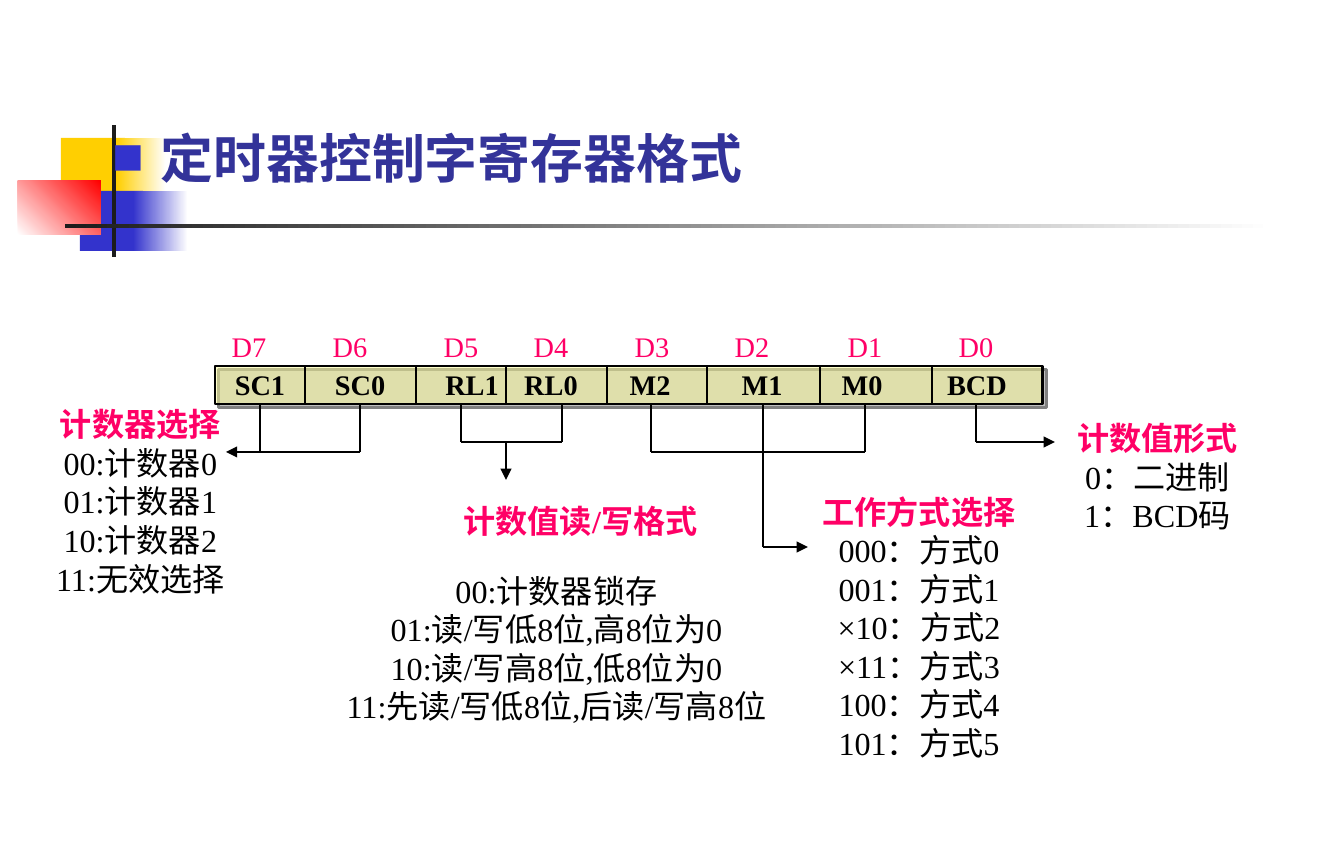
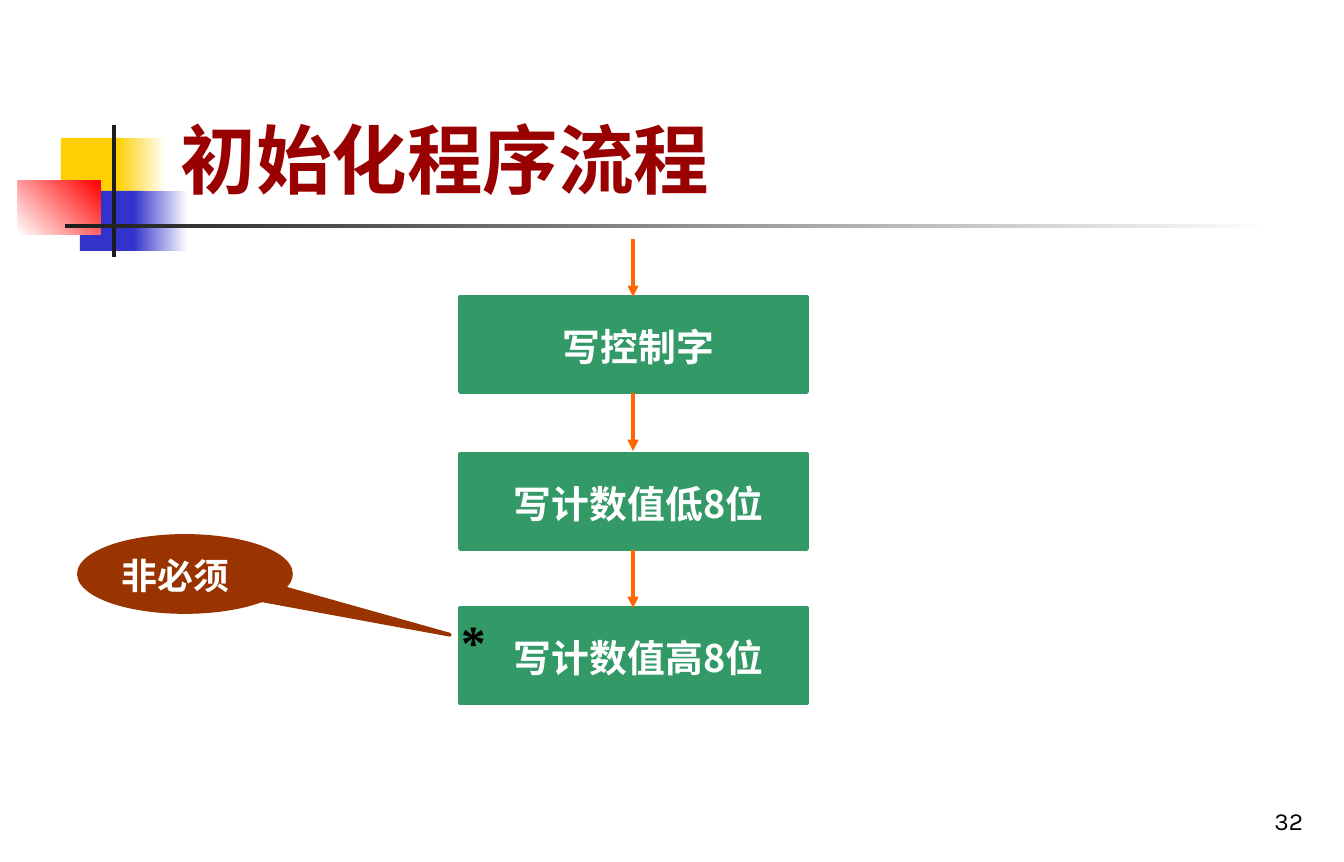
"""Two slides on a timer chip: its control word and how it is set up."""
import pptx
import pptx.util
import pptx.dml.color
import pptx.enum.text
import pptx.enum.shapes
import pptx.oxml
import pptx.oxml.ns

INK = dict(black="000000", white="FFFFFF", dark="1C1C1C", gold="FFCF01",
           blue="3333CC", red="FF0000", navy="333399", maroon="990000",
           pink="FF0066", cream="FFFF99", gray="808080", green="339966",
           orange="FF6600", brown="993300")
SANS, SERIF, PLAIN = "Noto Sans CJK SC", "Times New Roman", "Karla"
SCALE = 914400 / 136
SIZE = (1344, 862)
SHAPE = pptx.enum.shapes.MSO_SHAPE
ALIGN = pptx.enum.text.PP_ALIGN
ANCHOR = pptx.enum.text.MSO_ANCHOR

DECOR = [
    ((61, 138, 64, 60), ["gold"], 0),
    ((117, 138, 49, 60), ["gold", "white"], 0),
    ((80, 191, 63, 60), ["blue"], 0),
    ((133, 191, 55, 60), ["blue", "white"], 0),
    ((18, 181, 83, 54), ["white", "red"], 45),
    ((112, 125, 4, 132), ["dark"], 0),
    ((65, 224, 1209, 4), ["dark", "white"], 0),
]

FIELDS = [
    ("D7", 249, "SC1", 260), ("D6", 350, "SC0", 360),
    ("D5", 461, "RL1", 472), ("D4", 551, "RL0", 551),
    ("D3", 652, "M2", 650), ("D2", 752, "M1", 762),
    ("D1", 865, "M0", 862), ("D0", 976, "BCD", 977),
]
WORD = (215, 366, 828, 38)
SPLITS = [305, 416, 506, 607, 707, 820, 932]
WIRES = [
    ([(976, 404), (976, 442), (1055, 442)], True),
    ([(651, 404), (651, 452), (865, 452), (865, 404)], False),
    ([(763, 404), (763, 547), (808, 547)], True),
    ([(461, 404), (461, 442), (562, 442), (562, 404)], False),
    ([(506, 442), (506, 480)], True),
    ([(260, 404), (260, 452)], False),
    ([(360, 404), (360, 452), (226, 452)], True),
]
NOTES = [
    ((991, 411, 333, 131), "计数值形式", ["0：二进制", "1：BCD码"]),
    ((772, 484, 294, 286), "工作方式选择",
     ["000：方式0", "001：方式1", "×10：方式2", "×11：方式3",
      "100：方式4", "101：方式5"]),
    ((375, 494, 411, 53), "计数值读/写格式", []),
    ((316, 563, 481, 170), None,
     ["00:计数器锁存", "01:读/写低8位,高8位为0", "10:读/写高8位,低8位为0",
      "11:先读/写低8位,后读/写高8位"]),
    ((24, 397, 233, 208), "计数器选择",
     ["00:计数器0", "01:计数器1", "10:计数器2", "11:无效选择"]),
]

STEPS = [("写控制字", 297, 239), ("写计数值低8位", 454, 393),
         ("写计数值高8位", 608, 550)]
STEP_X, STEP_W, STEP_H, DROP = 460, 347, 95, 58


def px(num):
    return pptx.util.Emu(round(num * SCALE))


def rgb(name):
    return pptx.dml.color.RGBColor.from_string(INK[name])


def node(home, tag, **attrs):
    """Append one drawing element and return it."""
    item = pptx.oxml.parse_xml(
        f"<a:{tag} {pptx.oxml.ns.nsdecls('a')}/>")
    for key, val in attrs.items():
        item.set(key, str(val))
    home.append(item)
    return item


def place(shape, box):
    shape.left, shape.top, shape.width, shape.height = map(px, box)


def frame(shape, anchor=ANCHOR.TOP, pad=(12, 7, 12, 7), wrap=True):
    text = shape.text_frame
    text.auto_size = pptx.enum.text.MSO_AUTO_SIZE.NONE
    text.word_wrap = wrap
    text.vertical_anchor = anchor
    (text.margin_left, text.margin_top,
     text.margin_right, text.margin_bottom) = map(px, pad)
    return text


def write(para, words, size, color, font=SERIF, bold=False,
          align=ALIGN.CENTER):
    para.alignment = align
    run = para.add_run()
    run.text = words
    run.font.size = pptx.util.Pt(size)
    run.font.bold = bold
    run.font.name = font
    run.font.color.rgb = rgb(color)
    node(run.font._element, "ea", typeface=SANS)


def label(slide, box, words, size, color, anchor=ANCHOR.MIDDLE, **style):
    shape = slide.shapes.add_textbox(*map(px, box))
    text = frame(shape, anchor)
    write(text.paragraphs[0], words, size, color, **style)


def solid(slide, kind, box, fill, line=None, width=2):
    shape = slide.shapes.add_shape(kind, *map(px, box))
    shape.shadow.inherit = False
    shape.fill.solid()
    shape.fill.fore_color.rgb = rgb(fill)
    if line:
        shape.line.color.rgb = rgb(line)
        shape.line.width = pptx.util.Pt(width)
    else:
        shape.line.fill.background()
    return shape


def wire(slide, start, end, color="black", width=1.5, arrow=False):
    line = slide.shapes.add_connector(
        pptx.enum.shapes.MSO_CONNECTOR.STRAIGHT, *map(px, start + end))
    line.line.color.rgb = rgb(color)
    line.line.width = pptx.util.Pt(width)
    if arrow:
        node(line.line._get_or_add_ln(), "tailEnd", type="triangle")
    node(line._element.spPr, "effectLst")


def dress(slide, layout):
    """Build the shared band and move it to the layout."""
    for spot, (box, colors, angle) in enumerate(DECOR):
        shape = solid(slide, SHAPE.RECTANGLE, box, colors[0])
        if len(colors) > 1:
            shape.fill.gradient()
            shape.fill.gradient_angle = angle
            for stop, color in zip(shape.fill.gradient_stops, colors):
                stop.color.rgb = rgb(color)
        layout.shapes._spTree.insert(2 + spot, shape._element)


def head(slide, box, words, size, color, anchor):
    title = slide.shapes.title
    place(title, box)
    para = frame(title, anchor).paragraphs[0]
    write(para, words, size, color, SANS, True, ALIGN.LEFT)
    return para


def control(slide):
    para = head(slide, (101, 112, 1142, 90), "定时器控制字寄存器格式", 28,
                "navy", ANCHOR.TOP)
    para.line_spacing = 1.1
    props = para._p.get_or_add_pPr()
    props.set("marL", str(px(48)))
    props.set("indent", str(px(-48)))
    node(node(props, "buClr"), "srgbClr", val=INK["blue"])
    node(props, "buSzPct", val=60000)
    node(props, "buFont", typeface=SANS)
    node(props, "buChar", char="■")

    word = solid(slide, SHAPE.RECTANGLE, WORD, "cream", "black", 1.5)
    tint = word._element.spPr.find(
        pptx.oxml.ns.qn("a:solidFill"))[0]
    node(tint, "alpha", val=50000)
    glow = word._element.spPr.find(pptx.oxml.ns.qn("a:effectLst"))
    cast = node(glow, "outerShdw", dist=pptx.util.Pt(2.8), dir=2700000,
                algn="ctr", rotWithShape=0)
    node(cast, "srgbClr", val=INK["gray"])

    top, base = WORD[1], WORD[1] + WORD[3]
    for split in SPLITS:
        wire(slide, (split, top), (split, base))
    for bit, bit_x, name, name_x in FIELDS:
        label(slide, (bit_x - 45, 322, 90, 48), bit, 15, "pink")
        label(slide, (name_x - 45, 360, 90, 48), name, 15, "black",
              bold=True)
    for points, arrow in WIRES:
        last = len(points) - 2
        for spot, (start, end) in enumerate(zip(points, points[1:])):
            wire(slide, start, end, arrow=arrow and spot == last)

    for box, topic, rows in NOTES:
        text = frame(slide.shapes.add_textbox(*map(px, box)), ANCHOR.MIDDLE)
        lines = [(topic, "pink", True)] if topic else []
        lines += [(row, "black", False) for row in rows]
        for spot, (words, color, bold) in enumerate(lines):
            para = text.add_paragraph() if spot else text.paragraphs[0]
            write(para, words, 17, color, bold=bold)


def setup(slide):
    head(slide, (169, 27, 1145, 184), "初始化程序流程", 40, "maroon",
         ANCHOR.BOTTOM)
    label(slide, (1035, 785, 280, 57), "32", 13, "black", ANCHOR.BOTTOM,
          font=PLAIN, align=ALIGN.RIGHT)
    for words, top, _ in STEPS:
        step = solid(slide, SHAPE.RECTANGLE,
                     (STEP_X, top, STEP_W, STEP_H), "green", "green")
        text = frame(step, ANCHOR.MIDDLE, (22, 11, 12, 7))
        write(text.paragraphs[0], words, 20, "white", SANS, True)
    mid = STEP_X + STEP_W // 2
    for _, _, tail in STEPS:
        wire(slide, (mid, tail), (mid, tail + DROP), "orange", 2, True)
    label(slide, (449, 604, 79, 72), "*", 26, "black", ANCHOR.TOP,
          bold=True, align=ALIGN.LEFT)
    hint = solid(slide, SHAPE.OVAL_CALLOUT, (79, 536, 212, 76), "brown",
                 "brown")
    hint.adjustments[0], hint.adjustments[1] = 1.25, 0.8
    write(frame(hint).paragraphs[0], "非必须", 19, "white", bold=True,
          align=ALIGN.LEFT)


def main():
    deck = pptx.Presentation()
    deck.slide_width, deck.slide_height = map(px, SIZE)
    layout = deck.slide_layouts[5]
    first, second = [deck.slides.add_slide(layout) for _ in range(2)]
    dress(first, layout)
    control(first)
    setup(second)
    deck.save("out.pptx")


if __name__ == "__main__":
    main()
